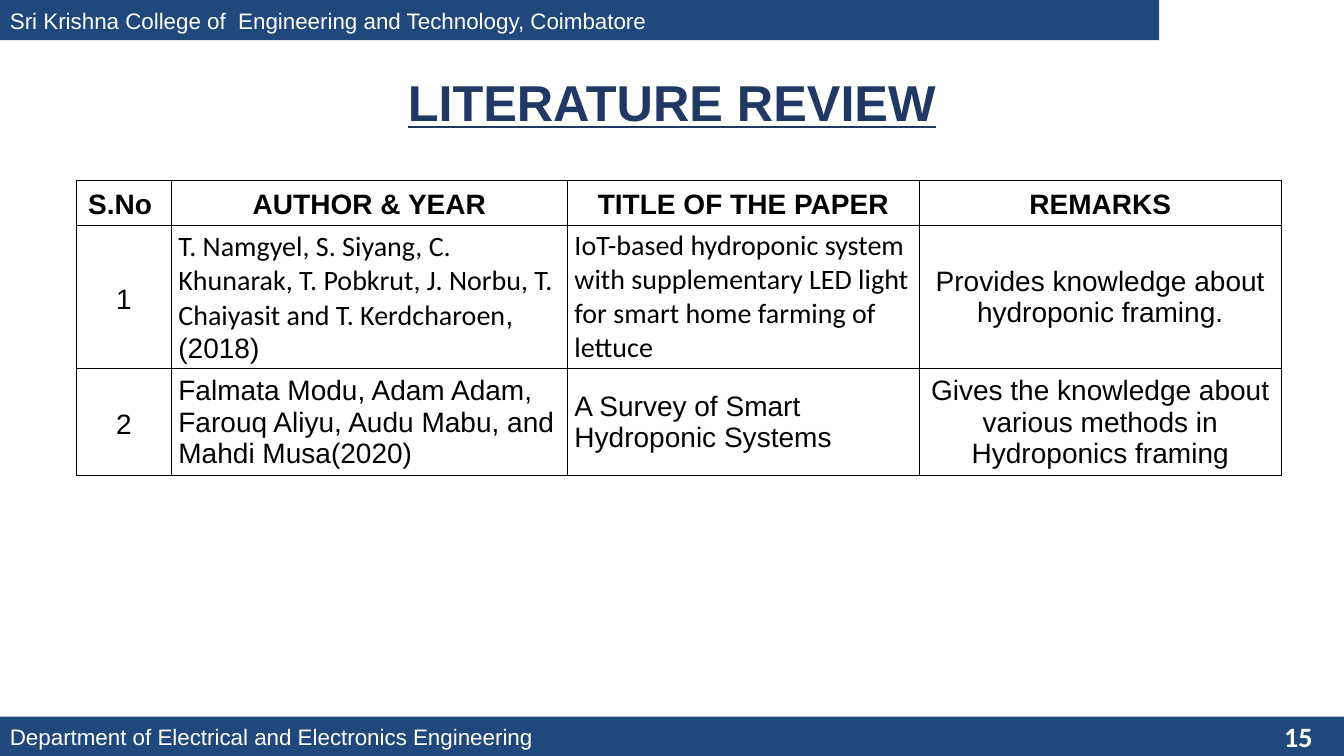
from lxml.etree import SubElement
from pptx import Presentation
from pptx.dml.color import RGBColor
from pptx.enum.shapes import MSO_SHAPE
from pptx.enum.text import MSO_ANCHOR, PP_ALIGN
from pptx.oxml.ns import qn
from pptx.util import Inches, Pt

COLORS = {"bar": "1F497D", "title": "203864", "white": "FFFFFF", "black": "000000"}
HEADERS = ["S.No ", "AUTHOR & YEAR", "TITLE OF THE PAPER", "REMARKS"]
# Each cell is a list of (text, font) runs.
PAPERS = [
    [
        [("1", "Arial")],
        [("T. Namgyel, S. Siyang, C. Khunarak, T. Pobkrut, J. Norbu, "
          "T. Chaiyasit and T. Kerdcharoen", "Calibri"), (", (2018)", "Arial")],
        [("IoT-based hydroponic system with supplementary LED light "
          "for smart home farming of lettuce", "Calibri")],
        [("Provides knowledge about hydroponic framing.", "Arial")],
    ],
    [
        [("2", "Arial")],
        [("Falmata Modu, Adam Adam, Farouq Aliyu, Audu Mabu, and Mahdi Musa(2020)", "Arial")],
        [("A Survey of Smart Hydroponic Systems", "Arial")],
        [("Gives the knowledge about various methods in Hydroponics framing", "Arial")],
    ],
]


def color(name):
    return RGBColor.from_string(COLORS[name])


class SlideBuilder:
    """Places elements by percentages of the slide's width and height."""

    def __init__(self, presentation):
        self.width = presentation.slide_width
        self.height = presentation.slide_height
        self.slide = presentation.slides.add_slide(presentation.slide_layouts[6])

    def across(self, percent):
        return round(self.width * percent / 100)

    def down(self, percent):
        return round(self.height * percent / 100)

    def box(self, left, top, width, height):
        return self.across(left), self.down(top), self.across(width), self.down(height)

    def style_run(self, run, size, ink, font="Arial", bold=False, underline=False):
        run.font.name = font
        run.font.size = Pt(size)
        run.font.bold = bold
        run.font.underline = underline
        run.font.color.rgb = color(ink)

    def set_text(self, shape, text, align, size, ink, **style):
        frame = shape.text_frame
        frame.word_wrap = True
        frame.vertical_anchor = MSO_ANCHOR.MIDDLE
        frame.text = text
        paragraph = frame.paragraphs[0]
        paragraph.alignment = align
        self.style_run(paragraph.runs[0], size, ink, **style)

    def panel(self, area, fill, text, align, size, ink, **style):
        shape = self.slide.shapes.add_shape(MSO_SHAPE.RECTANGLE, *self.box(*area))
        shape.shadow.inherit = False
        shape.fill.solid()
        shape.fill.fore_color.rgb = color(fill)
        shape.line.fill.background()
        self.set_text(shape, text, align, size, ink, **style)

    def bar(self, area, text):
        self.panel(area, "bar", text, PP_ALIGN.LEFT, 16, "white")

    def label(self, area, text, align, size, ink, **style):
        shape = self.slide.shapes.add_textbox(*self.box(*area))
        self.set_text(shape, text, align, size, ink, **style)

    def table(self, left, top, columns, rows, contents):
        area = self.box(left, top, sum(columns), sum(rows))
        table = self.slide.shapes.add_table(len(rows), len(columns), *area).table
        for column, width in zip(table.columns, columns):
            column.width = self.across(width)
        for row, height in zip(table.rows, rows):
            row.height = self.down(height)
        for row_index, row_contents in enumerate(contents):
            for column_index, runs in enumerate(row_contents):
                header = row_index == 0
                centred = header or column_index in (0, 3)
                cell = table.cell(row_index, column_index)
                self.cell(cell, runs, centred, header)
                if header or column_index == 0:
                    cell.text_frame.paragraphs[0].line_spacing = 1.15

    def cell(self, cell, runs, centred, bold):
        cell.vertical_anchor = MSO_ANCHOR.MIDDLE
        cell.margin_left = cell.margin_right = Inches(0.07)
        cell.margin_top = cell.margin_bottom = Inches(0.03)
        paragraph = cell.text_frame.paragraphs[0]
        paragraph.alignment = PP_ALIGN.CENTER if centred else PP_ALIGN.LEFT
        for text, font in runs:
            run = paragraph.add_run()
            run.text = text
            self.style_run(run, 20, "black", font, bold)
        self.borders(cell)
        cell.fill.background()

    def borders(self, cell):
        properties = cell._tc.get_or_add_tcPr()
        for side in ("a:lnL", "a:lnR", "a:lnT", "a:lnB"):
            line = SubElement(properties, qn(side), w=str(Pt(1)))
            fill = SubElement(line, qn("a:solidFill"))
            SubElement(fill, qn("a:srgbClr"), val=COLORS["black"])


def main():
    presentation = Presentation()
    presentation.slide_width = Inches(13.33)
    presentation.slide_height = Inches(7.5)
    builder = SlideBuilder(presentation)
    builder.bar((0, 94.8, 100, 5.2), "Department of Electrical and Electronics Engineering")
    builder.bar((0, 0, 86.25, 5.33),
                "Sri Krishna College of  Engineering and Technology, Coimbatore")
    builder.label((75.9, 94.67, 22.5, 5.33), "15", PP_ALIGN.RIGHT, 20, "white",
                  font="Calibri", bold=True)
    builder.panel((15.6, 7.87, 68.8, 11.07), "white", "LITERATURE REVIEW",
                  PP_ALIGN.CENTER, 36, "title", bold=True, underline=True)
    header_row = [[(header, "Arial")] for header in HEADERS]
    builder.table(5.7, 23.87, [7.05, 29.47, 26.18, 26.93], [5.73, 19, 13.3],
                  [header_row, *PAPERS])
    presentation.save("out.pptx")


if __name__ == "__main__":
    main()
